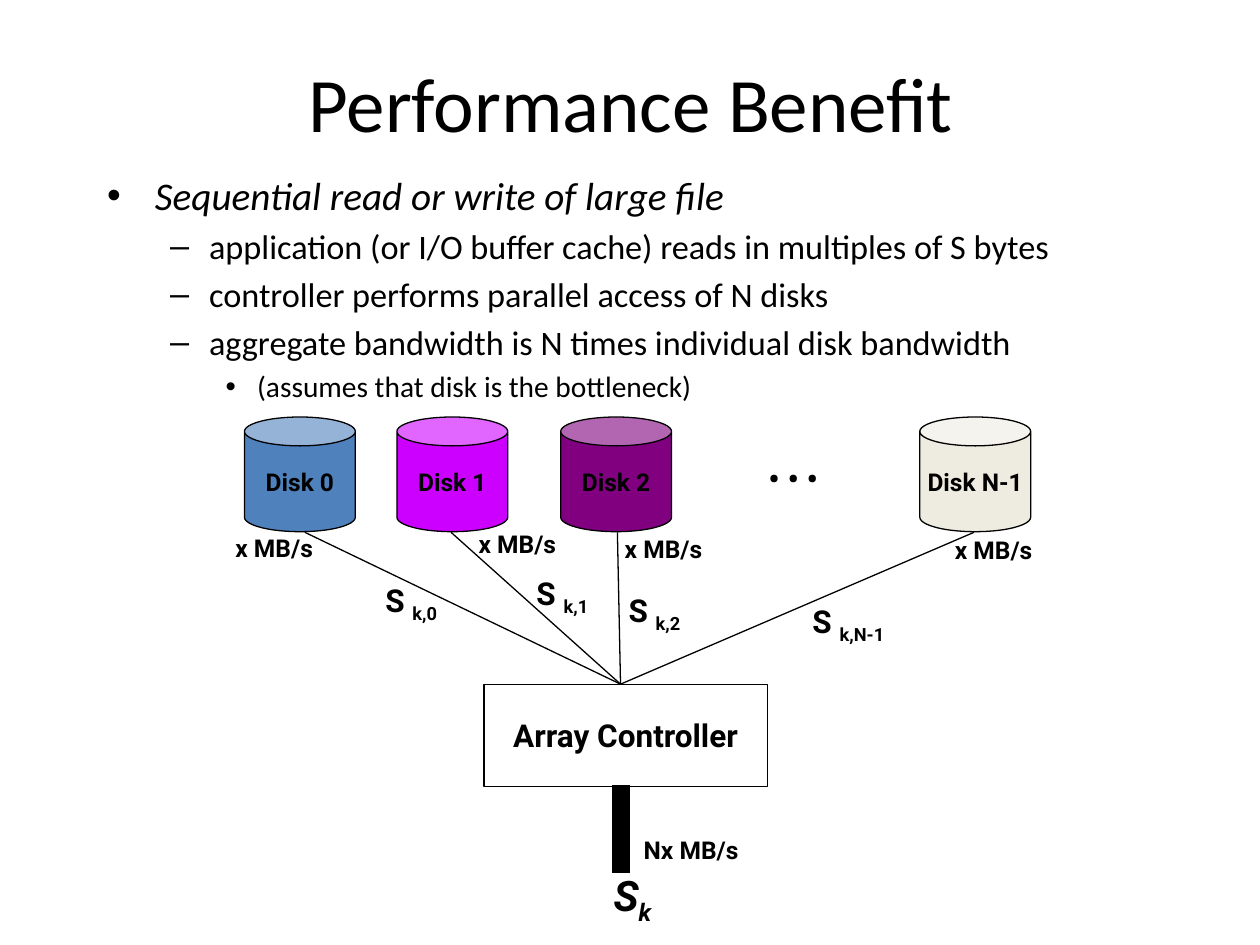
from pptx import Presentation
from pptx.dml.color import RGBColor
from pptx.enum.shapes import MSO_CONNECTOR, MSO_SHAPE
from pptx.enum.text import MSO_ANCHOR, MSO_AUTO_SIZE, PP_ALIGN
from pptx.oxml.ns import qn
from pptx.util import Inches, Pt
from lxml import etree

CAN, RECT = MSO_SHAPE.CAN, MSO_SHAPE.RECTANGLE
STRAIGHT = MSO_CONNECTOR.STRAIGHT
LEFT, CENTER = PP_ALIGN.LEFT, PP_ALIGN.CENTER
TOP, MIDDLE = MSO_ANCHOR.TOP, MSO_ANCHOR.MIDDLE
NO_FIT, GROW = MSO_AUTO_SIZE.NONE, MSO_AUTO_SIZE.SHAPE_TO_FIT_TEXT

COLORS = {
    "ink": "000000",
    "blue": "4F81BD",
    "magenta": "CC00FF",
    "purple": "800080",
    "cream": "EEECE1",
}
BODY_FONT, LABEL_FONT = "Calibri", "Roboto"
COLUMNS, ROWS = 100, 75  # square grid cells
SUBSCRIPT = "-25000"

# Outline level: text size, left margin and hanging indent in inches
LEVELS = [(22.4, 0.38, -0.38), (19.6, 0.81, -0.31), (16.8, 1.19, -0.25)]


class Diagram:
    """Holds the style and the current slide; lengths are grid columns and rows."""

    def __init__(self, deck):
        self.cell_w = deck.slide_width / COLUMNS
        self.cell_h = deck.slide_height / ROWS
        self.page = deck.slides.add_slide(deck.slide_layouts[1])

    def x(self, columns):
        return round(columns * self.cell_w)

    def y(self, rows):
        return round(rows * self.cell_h)

    def area(self, left, top, width, height):
        return self.x(left), self.y(top), self.x(width), self.y(height)

    def color(self, name):
        return RGBColor.from_string(COLORS[name])

    def add_span(self, para, text, size, font=LABEL_FONT, bold=True, italic=False):
        span = para.add_run()
        span.text = text
        span.font.size = Pt(size)
        span.font.name = font
        span.font.bold = bold
        span.font.italic = italic
        span.font.color.rgb = self.color("ink")
        return span

    def place(self, holder, area, anchor):
        holder.left, holder.top, holder.width, holder.height = self.area(*area)
        holder.text_frame.auto_size = NO_FIT
        holder.text_frame.vertical_anchor = anchor
        return holder.text_frame

    def title(self, text, area):
        para = self.place(self.page.shapes.title, area, MIDDLE).paragraphs[0]
        para.alignment = CENTER
        self.add_span(para, text, 44, BODY_FONT, bold=False)

    def outline(self, items, area):
        frame = self.place(self.page.placeholders[1], area, TOP)
        for index, (level, text) in enumerate(items):
            para = frame.add_paragraph() if index else frame.paragraphs[0]
            para.level = level
            size, margin, indent = LEVELS[level]
            properties = para._p.get_or_add_pPr()
            properties.set("marL", str(Inches(margin)))
            properties.set("indent", str(Inches(indent)))
            self.add_span(para, text, size, BODY_FONT, bold=False, italic=level == 0)

    def shape(self, kind, area, text, size, fill=None):
        box = self.page.shapes.add_shape(kind, *self.area(*area))
        box.shadow.inherit = False
        if fill:
            box.fill.solid()
            box.fill.fore_color.rgb = self.color(fill)
        else:
            box.fill.background()
        box.line.color.rgb = self.color("ink")
        box.line.width = Pt(0.75)
        frame = box.text_frame
        frame.word_wrap = False
        frame.vertical_anchor = MIDDLE
        para = frame.paragraphs[0]
        para.alignment = CENTER
        self.add_span(para, text, size)
        return box

    def line(self, start, end, width=0.75):
        link = self.page.shapes.add_connector(
            STRAIGHT, self.x(start[0]), self.y(start[1]), self.x(end[0]), self.y(end[1]))
        link.line.color.rgb = self.color("ink")
        link.line.width = Pt(width)
        etree.SubElement(link._element.spPr, qn("a:effectLst"))

    def label(self, area, text, size, sub=None, align=LEFT, italic=False):
        box = self.page.shapes.add_textbox(*self.area(*area))
        frame = box.text_frame
        frame.word_wrap = sub is not None
        frame.auto_size = GROW
        para = frame.paragraphs[0]
        para.alignment = align
        self.add_span(para, text, size, italic=italic)
        if sub:
            span = self.add_span(para, sub, size, italic=italic)
            span._r.get_or_add_rPr().set("baseline", SUBSCRIPT)


def main():
    deck = Presentation()
    deck.slide_width, deck.slide_height = Inches(10), Inches(7.5)
    diagram = Diagram(deck)

    # Title and outline
    diagram.title("Performance Benefit", (5.1, 1.8, 90, 12.5))
    diagram.outline([
        (0, "Sequential read or write of large file"),
        (1, "application (or I/O buffer cache) reads in multiples of S bytes"),
        (1, "controller performs parallel access of N disks"),
        (1, "aggregate bandwidth is N times individual disk bandwidth"),
        (2, "(assumes that disk is the bottleneck)"),
    ], (7.5, 13.1, 85, 19.4))

    # Disks: index, fill, left edge, link start, rate corner, segment corner
    disks = [
        ("0", "blue", 19.4, 24.2, (17.7, 41.8), (29.6, 45.6)),
        ("1", "magenta", 31.5, 35.8, (37, 41.5), (41.6, 45.1)),
        ("2", "purple", 44.5, 49, (48.6, 41.9), (48.9, 46.4)),
        ("N-1", "cream", 73, 77.3, (74.8, 42), (63.5, 47.3)),
    ]
    hub = (49.25, 54.3)
    for index, fill, left, link_x, rate, segment in disks:
        disk = diagram.shape(CAN, (left, 33.1, 8.8, 9.1), f"Disk {index}", 14, fill)
        disk.adjustments[0] = 0.26
        diagram.line((link_x, 42.25), hub)
        diagram.label((*rate, 8.3, 3.3), "x MB/s", 14)
        diagram.label((*segment, 8.4, 4), "S ", 18, sub=f"k,{index}")
    diagram.label((60, 35.9, 6.1, 4), "• • •", 18)

    # Controller and its combined output
    diagram.shape(RECT, (38.4, 54.3, 22.5, 8.1), "Array Controller", 18)
    diagram.line((49.3, 62.3), (49.3, 69.3), width=10)
    diagram.label((50.1, 65.8, 9.7, 3.3), "Nx MB/s", 14)
    diagram.label((46, 68.5, 8.4, 5), "S", 24, sub="k", align=CENTER, italic=True)

    deck.save("out.pptx")


if __name__ == "__main__":
    main()
